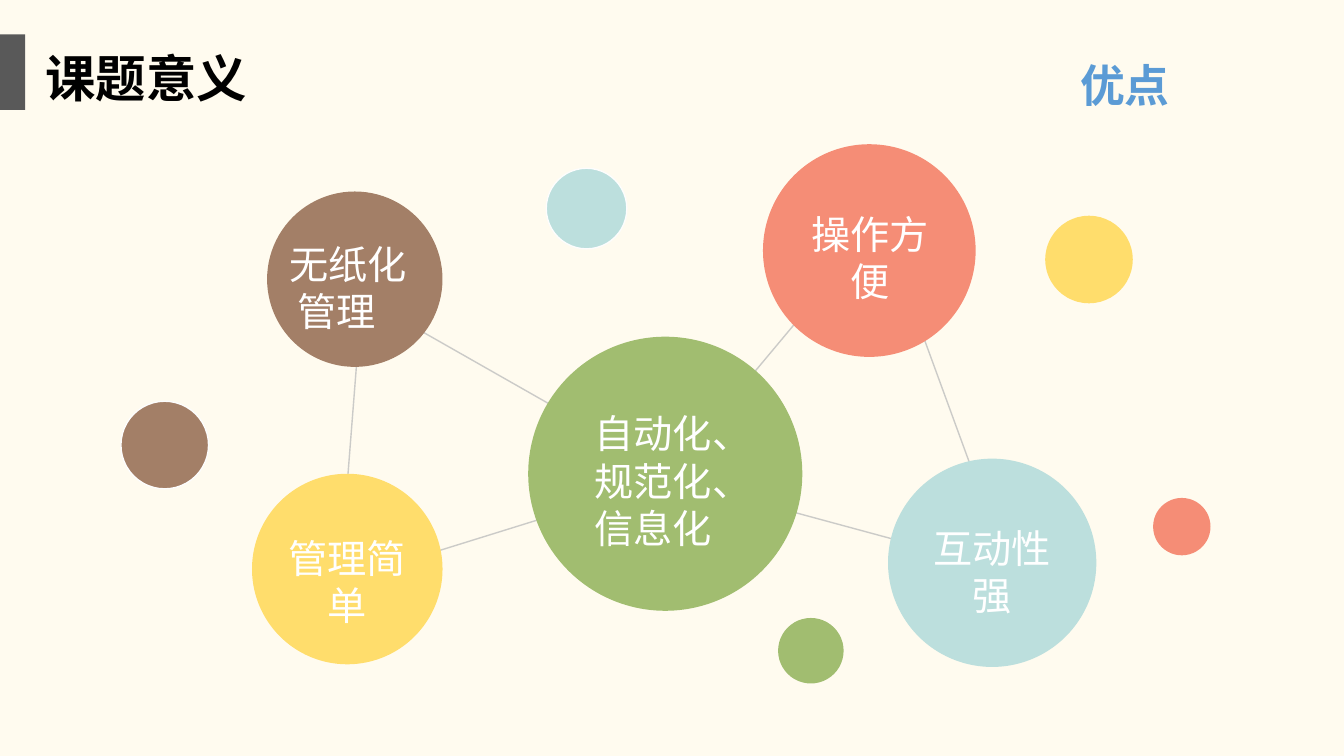
from dataclasses import dataclass

import lxml.etree
import pptx
import pptx.dml.color
import pptx.enum.shapes
import pptx.enum.text
import pptx.oxml.ns
import pptx.util

Pt = pptx.util.Pt
ALIGN = pptx.enum.text.PP_ALIGN
SHAPE = pptx.enum.shapes.MSO_SHAPE
qn = pptx.oxml.ns.qn


@dataclass(frozen=True)
class Theme:
    background: str = "FFFBEF"
    bar: str = "595959"
    link: str = "BFBFBF"
    rim: str = "FDFDFD"
    title: str = "000000"
    accent: str = "5B9BD5"
    label: str = "FFFFFF"
    yellow: str = "FFDD6C"
    brown: str = "A37F67"
    green: str = "A1BD70"
    coral: str = "F58D76"
    aqua: str = "BCDFDD"
    font: str = "Noto Sans CJK SC"
    accent_font: str = "Arial"
    title_size: float = 36
    accent_size: float = 32
    label_size: float = 28


@dataclass(frozen=True)
class Circle:
    left: float
    top: float
    size: float
    color: str
    rim: bool = False


@dataclass(frozen=True)
class Label:
    lines: tuple[str, ...]
    left: float
    top: float
    width: float
    height: float = 74.9
    align: ALIGN = ALIGN.CENTER
    indents: tuple[float, ...] = (0, 0)


THEME = Theme()

LINK_POINTS = [(258.5, 212.4), (478.8, 337.7), (629.3, 157.7), (720.7, 407.5),
               (478.8, 342), (242.6, 415.4)]

TOPIC_CIRCLES = [
    Circle(180, 338.4, 136.1, THEME.yellow),
    Circle(190.8, 136.8, 125.3, THEME.brown),
    Circle(377.3, 240.5, 195.8, THEME.green),
    Circle(545, 103, 151.9, THEME.coral),
    Circle(634.3, 327.6, 148.8, THEME.aqua),
]
SMALL_CIRCLES = [
    Circle(555.8, 441.4, 46.8, THEME.green),
    Circle(86.4, 286.6, 62.6, THEME.brown, rim=True),
    Circle(746.6, 154.1, 62.6, THEME.yellow),
    Circle(823.7, 355.7, 41, THEME.coral),
    Circle(390.2, 120.2, 57.6, THEME.aqua, rim=True),
]
LABELS = [
    Label(("自动化、", "规范化、", "信息化"), 398.9, 286.6, 169.9, 108.7,
          ALIGN.LEFT, (18.8, 18.8, 18.8)),
    Label(("操作方", "便"), 571.7, 144, 99.4),
    Label(("无纸化", "管理"), 186.5, 165.6, 117.4,
          align=ALIGN.LEFT, indents=(13.4, 18.8)),
    Label(("管理简", "单"), 198, 375.8, 99.4),
    Label(("互动性", "强"), 658.8, 368.6, 99.4),
]
TITLE = Label(("课题意义",), 25.2, 26.6, 159.8, 51.1, ALIGN.LEFT)
HEADING = Label(("优点",), 685.4, 34.6, 236.2, 45.4)


def rgb(value: str) -> pptx.dml.color.RGBColor:
    return pptx.dml.color.RGBColor.from_string(value)


def apply(target, values: dict) -> None:
    for name, value in values.items():
        setattr(target, name, value)


def paint(shape, fill: str | None, line: str | None = None) -> None:
    shape.shadow.inherit = False
    if fill:
        shape.fill.solid()
        shape.fill.fore_color.rgb = rgb(fill)
    else:
        shape.fill.background()
    if line:
        shape.line.color.rgb = rgb(line)
        shape.line.width = Pt(1)
    else:
        shape.line.fill.background()


def draw_circle(page, circle: Circle) -> None:
    shape = page.shapes.add_shape(SHAPE.OVAL, Pt(circle.left), Pt(circle.top),
                                  Pt(circle.size), Pt(circle.size))
    paint(shape, circle.color, THEME.rim if circle.rim else None)


def write_label(box, label: Label, size: float, color: str,
                font: str = THEME.font, bold: bool = False) -> None:
    apply(box, {"left": Pt(label.left), "top": Pt(label.top),
                "width": Pt(label.width), "height": Pt(label.height)})
    frame = box.text_frame
    apply(frame, {"word_wrap": True,
                  "auto_size": pptx.enum.text.MSO_AUTO_SIZE.NONE,
                  "vertical_anchor": pptx.enum.text.MSO_ANCHOR.TOP,
                  "margin_left": Pt(7.2), "margin_right": Pt(7.2),
                  "margin_top": Pt(3.6 + 0.09 * size), "margin_bottom": 0})
    for index, (line, indent) in enumerate(zip(label.lines, label.indents)):
        para = frame.add_paragraph() if index else frame.paragraphs[0]
        apply(para, {"alignment": label.align, "line_spacing": Pt(1.2 * size),
                     "space_before": Pt(0), "space_after": Pt(0)})
        para._p.get_or_add_pPr().set("marL", str(Pt(indent)))
        span = para.add_run()
        span.text = line
        apply(span.font, {"name": font, "size": Pt(size), "bold": bold})
        span.font.color.rgb = rgb(color)
        # East Asian typeface follows the Latin one
        properties = span._r.get_or_add_rPr()
        properties.set("lang", "zh-CN")
        latin = properties.find(qn("a:latin"))
        east_asian = lxml.etree.Element(qn("a:ea"), typeface=font)
        latin.addnext(east_asian)


def add_box(page):
    return page.shapes.add_textbox(0, 0, Pt(10), Pt(10))


# Deck and background
deck = pptx.Presentation()
deck.slide_width, deck.slide_height = Pt(960), Pt(540)
page = deck.slides.add_slide(deck.slide_layouts[5])
page.background.fill.solid()
page.background.fill.fore_color.rgb = rgb(THEME.background)

# Links between the circles
points = [(Pt(x), Pt(y)) for x, y in LINK_POINTS]
builder = page.shapes.build_freeform(*points[0])
builder.add_line_segments(points[1:], close=True)
links = builder.convert_to_shape()
paint(links, None, THEME.link)
link_color = links.line.color._xFill.find(qn("a:srgbClr"))
lxml.etree.SubElement(link_color, qn("a:alpha"), val="80000")

# Title with its side bar
bar = page.shapes.add_shape(SHAPE.RECTANGLE, 0, Pt(24.5), Pt(18), Pt(54))
paint(bar, THEME.bar)
write_label(page.shapes.title, TITLE, THEME.title_size, THEME.title, bold=True)

# Circles and their labels
for circle in TOPIC_CIRCLES:
    draw_circle(page, circle)
for label in LABELS:
    write_label(add_box(page), label, THEME.label_size, THEME.label)
for circle in SMALL_CIRCLES:
    draw_circle(page, circle)

# Heading at the right
write_label(add_box(page), HEADING, THEME.accent_size, THEME.accent,
            THEME.accent_font, bold=True)

deck.save("out.pptx")
